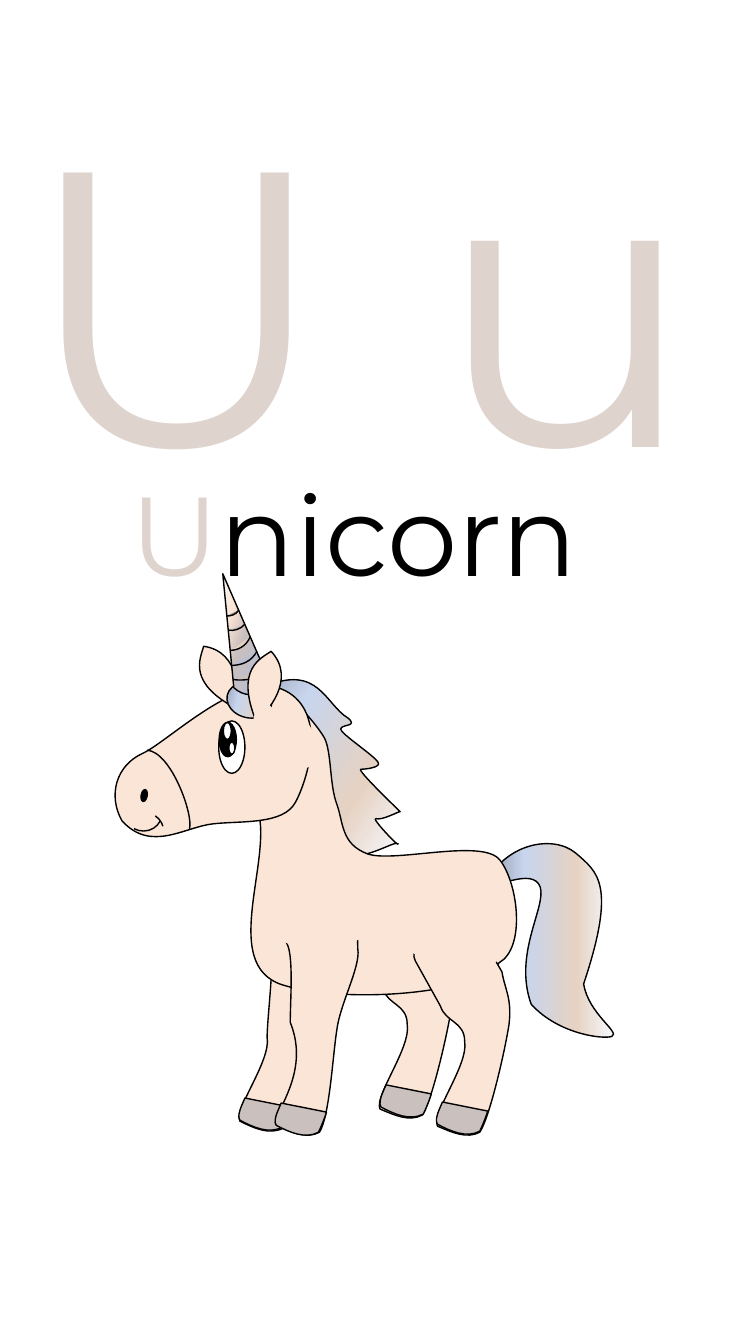
from copy import deepcopy
from lxml.etree import SubElement
from pptx import Presentation
from pptx.dml.color import RGBColor
from pptx.enum.shapes import MSO_SHAPE
from pptx.enum.text import MSO_ANCHOR, MSO_AUTO_SIZE, PP_ALIGN
from pptx.oxml.ns import qn
from pptx.util import Cm, Pt

FONT = "Montserrat"
BLACK = RGBColor(0x00, 0x00, 0x00)
WHITE = RGBColor(0xFF, 0xFF, 0xFF)
SAND = RGBColor(0xDE, 0xD3, 0xCD)
PEACH = RGBColor(0xFB, 0xE5, 0xD6)
HOOF = RGBColor(0xCA, 0xC0, 0xBE)
TAN = RGBColor(0xE6, 0xD2, 0xC2)
SKY = RGBColor(0xC7, 0xD5, 0xED)
SLATE = RGBColor(0x90, 0x97, 0xA9)
LILAC = RGBColor(0xBA, 0xBE, 0xD1)
GREY = RGBColor(0x8C, 0x8C, 0x8C)
MIST = RGBColor(0xF6, 0xF8, 0xFC)

HAIR = [(0, SLATE), (0.31, SKY), (0.71, TAN), (1, MIST)]
COAT = [(0, MIST), (0.24, PEACH)]
SPIKE = [(0, MIST), (0.24, PEACH), (0.46, HOOF), (0.74, LILAC), (1, SLATE)]
TAGS = {"M": "a:moveTo", "L": "a:lnTo", "C": "a:cubicBezTo"}

TAIL = ("M 6.07,10.28 C 6.16,10.24 5.84,10.06 5.79,9.76 6.12,8.77 5.93,8.65 5.71,8.46 "
        "5.48,8.27 4.99,8.37 4.81,8.79 4.88,8.83 5.29,8.59 5.36,8.8 "
        "5.42,9 5.09,9.46 5.27,9.96 5.54,10.26 5.99,10.31 6.07,10.28 Z")
HIND = ("M 4.15,9.02 C 4.12,8.97 4.05,8.95 4,8.98 L 3.59,9.2 C 3.54,9.23 3.52,9.31 3.55,9.36 "
        "L 3.8,9.81 C 3.85,9.97 4.04,9.96 4.04,10.16 4.08,10.39 3.71,10.87 3.77,11 "
        "3.91,11.06 4.06,11.13 4.19,11.06 4.29,10.91 4.44,10.25 4.48,9.99 "
        "4.51,9.73 4.44,9.65 4.41,9.47 L 4.15,9.02 Z")
FAR = ("M 3.03,9.04 C 2.9,8.99 2.72,9.02 2.62,9.07 2.56,9.2 2.61,9.18 2.68,9.34 "
       "2.73,9.5 2.65,10.09 2.65,10.29 2.69,10.52 2.32,11 2.38,11.12 "
       "2.52,11.19 2.67,11.26 2.81,11.19 2.9,11.03 3.05,10.38 3.09,10.12 "
       "3.12,9.85 3.15,9.66 3.12,9.48 L 3.03,9.04 Z")
NEAR = ("M 3.54,9.06 C 3.41,9.01 2.96,8.98 2.86,9.03 2.8,9.16 2.79,9.23 2.86,9.39 "
        "2.91,9.55 2.88,9.94 2.88,10.14 3.09,10.66 2.69,11.04 2.75,11.16 "
        "2.89,11.23 3.04,11.3 3.17,11.23 3.27,11.07 3.3,10.49 3.34,10.23 "
        "3.37,9.96 3.58,9.59 3.55,9.41 L 3.54,9.06 Z")
MANE = ("M 2.63,6.81 L 2.27,7.08 2.81,7.9 3.11,8.46 C 3.24,8.45 3.13,8.49 3.45,8.44 "
        "3.55,8.58 3.94,8.32 3.95,8.37 3.97,8.42 3.67,8.1 3.73,8.12 "
        "3.79,8.14 3.95,8.05 3.97,8.05 3.98,8.06 3.53,7.63 3.58,7.63 "
        "3.63,7.63 3.79,7.61 3.75,7.56 3.72,7.5 3.37,7.27 3.38,7.23 "
        "3.39,7.18 3.56,7.21 3.45,7.12 3.23,6.99 3.16,6.58 2.63,6.81 Z")
BODY = ("M 3.34,7.97 C 3.27,7.78 3.29,7.46 3.22,7.32 3.14,7.18 2.82,6.79 2.7,6.9 "
        "2.59,7.01 2.54,7.53 2.54,7.98 2.75,8.46 2.15,9.57 2.81,9.77 "
        "3.47,9.97 4.8,9.84 4.95,9.55 5.22,9.4 5.14,8.76 4.96,8.53 "
        "4.79,8.31 3.92,8.56 3.65,8.47 3.38,8.37 3.41,8.16 3.34,7.97 Z")
TOE = ("M 4.39,10.93 L 4.36,11 C 4.33,11.07 4.32,11.12 4.34,11.15 "
       "4.47,11.22 4.63,11.29 4.76,11.22 4.78,11.18 4.81,11.11 4.84,11.02 L 4.39,10.93 Z")
HEAD = ("M 2.83,6.85 C 2.4,6.63 1.69,7.34 1.42,7.47 1.15,7.59 1.07,7.89 1.21,8.14 "
        "1.5,8.46 1.83,8.2 2.12,8.17 2.4,8.14 2.81,8.18 2.93,7.96 "
        "3.05,7.74 3.26,7.07 2.83,6.85 Z")
LEFT_EAR = "M 2.35,7.03 C 1.85,6.77 1.99,6.53 2.02,6.41 2.39,6.46 2.38,6.92 2.35,7.03 Z"
RIGHT_EAR = "M 2.54,7.15 C 2.33,6.63 2.59,6.53 2.69,6.46 2.95,6.74 2.64,7.08 2.54,7.15 Z"
NOSE = "M 1.88,8.22 C 1.92,8.08 1.7,7.46 1.46,7.44"
HORN = "M 2.72,6.86 L 2.21,5.69 2.32,6.82 C 2.41,6.91 2.55,6.91 2.72,6.86 Z"
RINGS = [("M 2.37,6.05 C 2.34,6.1 2.29,6.11 2.25,6.11", GREY),
         ("M 2.43,6.19 C 2.39,6.24 2.32,6.26 2.27,6.25", HOOF),
         ("M 2.48,6.32 C 2.44,6.41 2.36,6.45 2.29,6.45", TAN),
         ("M 2.55,6.46 C 2.49,6.57 2.39,6.6 2.29,6.6", LILAC),
         ("M 2.71,6.59 C 2.64,6.72 2.45,6.76 2.31,6.74", HOOF)]


def inch(size):
    return Cm(2.54 * size)


def bend(start, one, two, end, steps=12):
    for step in range(1, steps + 1):
        t = step / steps
        s = 1 - t
        yield tuple(s**3 * a + 3 * s * s * t * b + 3 * s * t * t * c + t**3 * d
                    for a, b, c, d in zip(start, one, two, end))


def trace(route, dx, dy):
    moves, hold, mode = [], [], "M"
    for word in route.split():
        if word in "MLCZ":
            mode = word
            continue
        x, y = word.split(",")
        hold.append((inch(float(x) + dx), inch(float(y) + dy)))
        if mode != "C" or len(hold) == 3:
            moves.append((mode, hold))
            hold = []
    return moves


def curve(shape, moves, close):
    track = shape.element.find(".//" + qn("a:path"))
    for step in list(track):
        track.remove(step)
    for mode, dots in moves:
        step = SubElement(track, qn(TAGS[mode]))
        for x, y in dots:
            SubElement(step, qn("a:pt"), x=str(x - shape.left), y=str(y - shape.top))
    if close:
        SubElement(track, qn("a:close"))


def blend(shape, stops, angle):
    shape.fill.gradient()
    shape.fill.gradient_angle = angle
    rows = shape.element.spPr.find(".//" + qn("a:gsLst"))
    while len(rows) < len(stops):
        rows.append(deepcopy(rows[0]))
    for mark, (place, color) in zip(shape.fill.gradient_stops, stops):
        mark.color.rgb = color
        mark.position = place


def paint(shape, fill, angle=0, edge=True):
    shape.shadow.inherit = False
    if fill is None:
        shape.fill.background()
    elif isinstance(fill, list):
        blend(shape, fill, angle)
    else:
        shape.fill.solid()
        shape.fill.fore_color.rgb = fill
    if edge:
        shape.line.color.rgb = BLACK
        shape.line.width = Pt(1)
    else:
        shape.line.fill.background()


def draw(shapes, route, fill, angle=0, dx=0, dy=0):
    moves = trace(route, dx, dy)
    dots = []
    for mode, points in moves:
        dots += bend(dots[-1], *points) if mode == "C" else points
    pen = shapes.build_freeform(*dots[0])
    pen.add_line_segments(dots[1:], close=False)
    shape = pen.convert_to_shape()
    curve(shape, moves, route.endswith("Z"))
    paint(shape, fill, angle)


def place(shapes, kind, box, turn, fill, edge=True):
    shape = shapes.add_shape(kind, *map(inch, box))
    shape.rotation = turn
    shape.element.spPr.xfrm.set("flipH", "1")
    paint(shape, fill, 180, edge)
    return shape


def oval(shapes, box, turn, fill, edge=True):
    place(shapes, MSO_SHAPE.OVAL, box, turn, fill, edge)


def arc(shapes, box, turn):
    return place(shapes, MSO_SHAPE.ARC, box, turn, None)


def write(shape, box, size, runs):
    shape.left, shape.top, shape.width, shape.height = map(inch, box)
    frame = shape.text_frame
    frame.word_wrap = True
    frame.auto_size = MSO_AUTO_SIZE.NONE
    frame.vertical_anchor = MSO_ANCHOR.TOP
    line = frame.paragraphs[0]
    line.alignment = PP_ALIGN.LEFT
    for text, color in runs:
        run = line.add_run()
        run.text = text
        run.font.name = FONT
        run.font.size = Pt(size)
        run.font.color.rgb = color


def limbs(shapes):
    draw(shapes, TAIL, HAIR)
    draw(shapes, HIND, PEACH)
    draw(shapes, FAR, PEACH)
    draw(shapes, MANE, HAIR, 326.5)
    draw(shapes, BODY, COAT, 225)
    draw(shapes, HIND, PEACH, dx=0.57, dy=0.17)
    draw(shapes, NEAR, PEACH)
    for dx, dy in [(0, 0), (-0.56, -0.17), (-1.96, -0.04), (-1.6, 0.01)]:
        draw(shapes, TOE, HOOF, dx=dx, dy=dy)


def face(shapes):
    draw(shapes, HEAD, PEACH)
    draw(shapes, LEFT_EAR, PEACH)
    oval(shapes, (2.25, 6.77, 0.45, 0.35), 12.7, HAIR)
    oval(shapes, (3.96, 9.05, 1.03, 0.56), 14.6, PEACH, False)
    oval(shapes, (2.65, 8.89, 1.03, 0.52), 0, PEACH, False)
    oval(shapes, (2.04, 7.28, 0.52, 0.26), 270, WHITE)
    arc(shapes, (1.22, 7.87, 0.39, 0.37), 207.4)
    oval(shapes, (1.37, 7.86, 0.12, 0.06), 280.7, BLACK)
    oval(shapes, (2.09, 7.25, 0.34, 0.17), 270, BLACK)
    oval(shapes, (2.76, 7.25, 0.49, 0.25), 261.9, PEACH, False)
    cheek = arc(shapes, (1.24, 8.07, 0.39, 0.37), 123)
    cheek.adjustments[0] = 192.94
    oval(shapes, (2.17, 7.21, 0.17, 0.08), 270, WHITE)
    oval(shapes, (2.24, 7.39, 0.12, 0.06), 270, WHITE)
    draw(shapes, NOSE, None)
    draw(shapes, HORN, SPIKE, 340)
    for route, color in RINGS:
        draw(shapes, route, color)
    draw(shapes, RIGHT_EAR, PEACH)
    oval(shapes, (2.4, 7.09, 0.49, 0.25), 261.9, PEACH, False)


def main():
    deck = Presentation()
    deck.slide_width, deck.slide_height = inch(7.5), inch(13.33)
    slide = deck.slides.add_slide(deck.slide_layouts[5])
    write(slide.shapes.title, (0.11, 0.5, 7.93, 4.98), 280, [("U u", SAND)])
    box = (1.2, 4.56, 5.19, 1.45)
    word = slide.shapes.add_textbox(*map(inch, box))
    write(word, box, 80, [("U", SAND), ("nicorn", BLACK)])
    group = slide.shapes.add_group_shape()
    limbs(group.shapes)
    face(group.shapes)
    deck.save("out.pptx")


if __name__ == "__main__":
    main()
